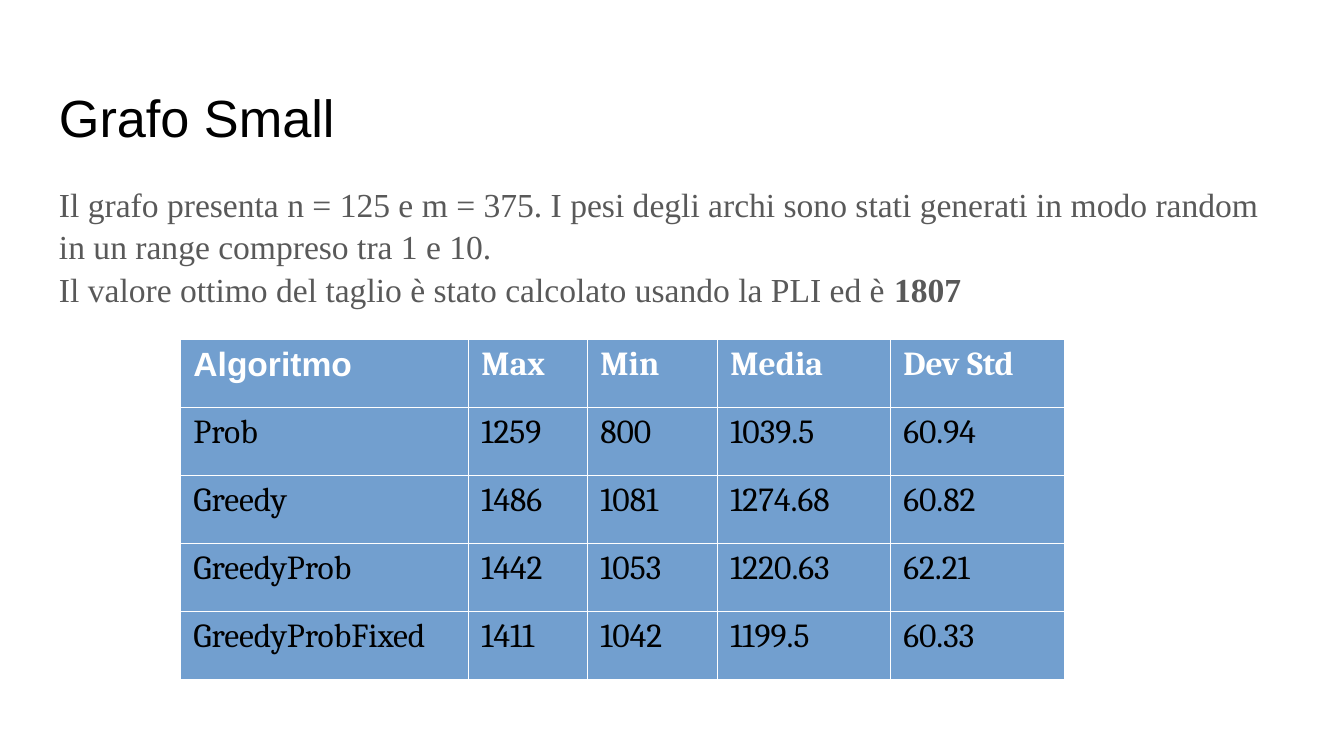
from dataclasses import dataclass
from lxml.etree import SubElement
from pptx import Presentation
from pptx.dml.color import RGBColor
from pptx.oxml.ns import qn
from pptx.util import Pt


@dataclass(frozen=True)
class Theme:
    black: str = "000000"
    white: str = "FFFFFF"
    gray: str = "595959"
    blue: str = "729FCF"
    sans: str = "Arial"
    serif: str = "Times New Roman"
    grid: str = "Cambria"
    head: int = 28
    text: int = 18


THEME = Theme()
PX = 914400 / 134.4


def px(n):
    return round(n * PX)


def write(frame, paras, font, size, color, bold=False, space=None):
    """Fill a frame; each paragraph is a list of (text, bold) runs or a string."""
    for i, para in enumerate(paras):
        p = frame.paragraphs[0] if i == 0 else frame.add_paragraph()
        if space:
            p.line_spacing = space
        runs = [(para, bold)] if isinstance(para, str) else para
        for text, heavy in runs:
            run = p.add_run()
            run.text = text
            run.font.name = font
            run.font.size = Pt(size)
            run.font.bold = heavy
            run.font.color.rgb = RGBColor.from_string(color)


deck = Presentation()
deck.slide_width, deck.slide_height = px(1344), px(756)
slide = deck.slides.add_slide(deck.slide_layouts[6])

# Title and body text
title = slide.shapes.add_textbox(px(46), px(66), px(1252), px(84)).text_frame
body = slide.shapes.add_textbox(px(46), px(169), px(1252), px(503)).text_frame
for frame, top, low in ((title, 19, 5), (body, 13, 13)):
    frame.word_wrap = True
    frame.margin_left = frame.margin_right = px(13)
    frame.margin_top, frame.margin_bottom = px(top), px(low)

write(title, ["Grafo Small"], THEME.sans, THEME.head, THEME.black)
write(body, [
    "Il grafo presenta n = 125 e m = 375. I pesi degli archi sono stati "
    "generati in modo random in un range compreso tra 1 e 10.",
    [("Il valore ottimo del taglio è stato calcolato usando la PLI ed è ", False),
     ("1807", True)],
], THEME.serif, THEME.text, THEME.gray, space=1.05)

# Results table
rows = [
    ("Algoritmo", "Max", "Min", "Media", "Dev Std"),
    ("Prob", "1259", "800", "1039.5", "60.94"),
    ("Greedy", "1486", "1081", "1274.68", "60.82"),
    ("GreedyProb", "1442", "1053", "1220.63", "62.21"),
    ("GreedyProbFixed", "1411", "1042", "1199.5", "60.33"),
]
wide = (288, 119, 130, 173, 174)
high = 68
table = slide.shapes.add_table(len(rows), len(wide), px(180), px(339),
                               px(sum(wide)), px(high * len(rows))).table
table.horz_banding = False
for col, width in zip(table.columns, wide):
    col.width = px(width)

for r, row in enumerate(rows):
    table.rows[r].height = px(high)
    for c, text in enumerate(row):
        cell = table.cell(r, c)
        write(cell.text_frame, [text],
              THEME.sans if r == c == 0 else THEME.grid, THEME.text,
              THEME.black if r else THEME.white, bold=r == 0)
        props = cell._tc.get_or_add_tcPr()
        for side in ("a:lnL", "a:lnR", "a:lnT", "a:lnB"):
            line = SubElement(props, qn(side), w="720")
            fill = SubElement(line, qn("a:solidFill"))
            SubElement(fill, qn("a:srgbClr"), val=THEME.white)
        cell.fill.solid()
        cell.fill.fore_color.rgb = RGBColor.from_string(THEME.blue)

deck.save("out.pptx")
